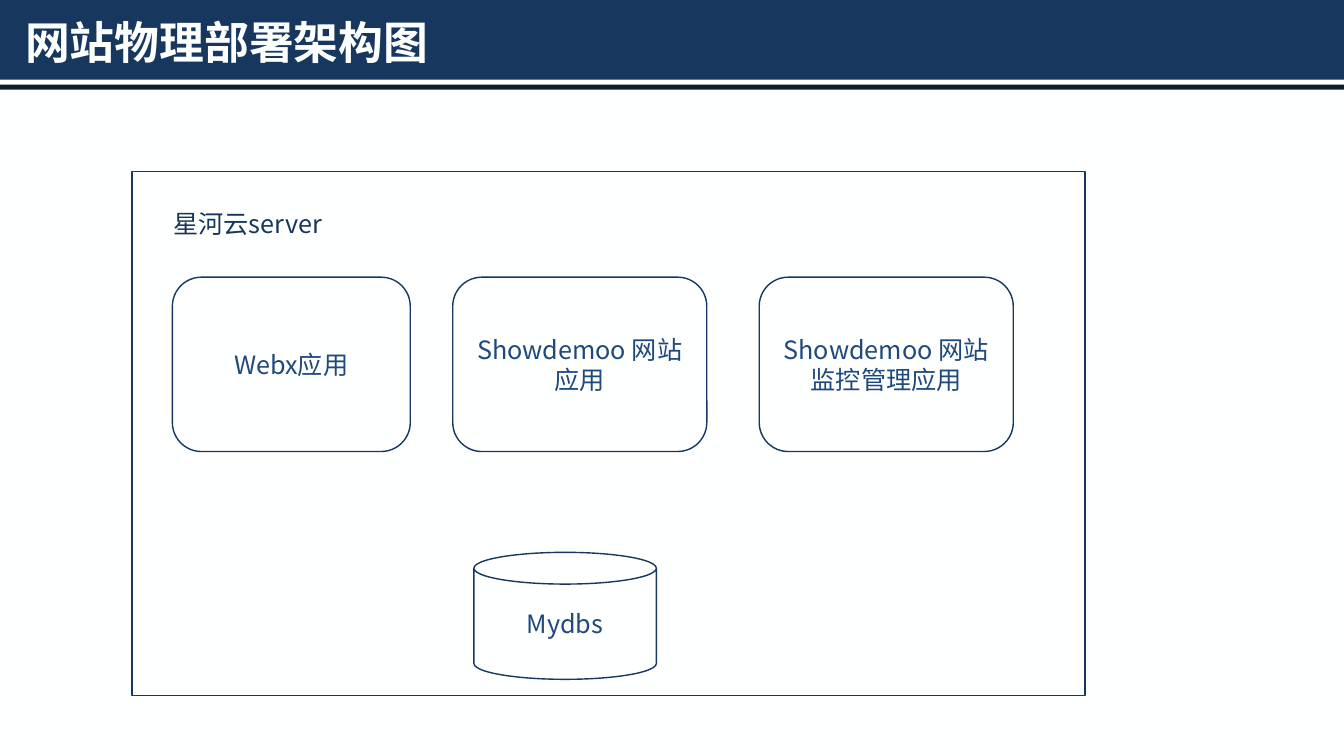
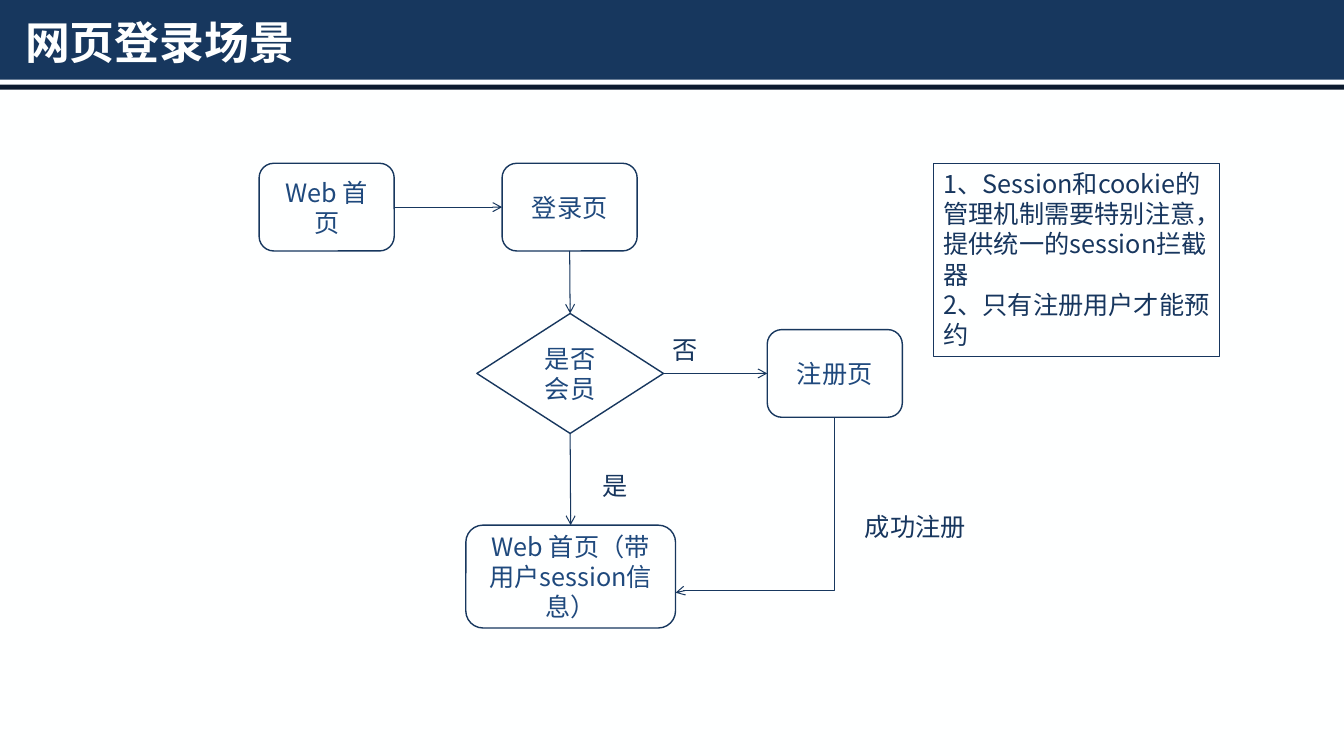
"""Build two slides: a site deployment diagram and a web login flow."""
from lxml import etree
from pptx import Presentation
from pptx.dml.color import RGBColor
from pptx.enum.shapes import MSO_CONNECTOR as Link, MSO_SHAPE as Kind
from pptx.enum.text import MSO_ANCHOR as Anchor, MSO_AUTO_SIZE as Fit, PP_ALIGN as Align
from pptx.oxml.ns import qn
from pptx.util import Inches, Pt

FONT = "Noto Sans CJK SC"
HUES = {"paper": "FEFFFF", "navy": "17375E", "dark": "0C1B2F",
        "note": "17365E", "label": "1F497D"}
SIZE = (13.33, 7.5)
ROUND = Kind.ROUNDED_RECTANGLE
TOP, LEFT, BOTTOM, RIGHT = range(4)

DEPLOY = {
    "title": "网站物理部署架构图",
    "nodes": {
        "server": ("", Kind.RECTANGLE, (1.31, 1.7, 9.45, 5.2)),
        "proxy": ("Webx应用", ROUND, (1.71, 2.75, 2.36, 1.73)),
        "site": ("Showdemoo 网站应用", ROUND, (4.49, 2.75, 2.52, 1.73)),
        "admin": ("Showdemoo 网站监控管理应用", ROUND, (7.53, 2.75, 2.52, 1.73)),
        "store": ("Mydbs", Kind.CAN, (4.7, 5.48, 1.81, 1.26)),
    },
    "notes": [("星河云server", (1.62, 2.02, 2.13, 0.4))],
}
LOGIN = {
    "title": "网页登录场景",
    "nodes": {
        "home": ("Web 首页", ROUND, (2.57, 1.62, 1.34, 0.87)),
        "login": ("登录页", ROUND, (4.98, 1.62, 1.34, 0.87)),
        "join": ("注册页", ROUND, (7.61, 3.27, 1.34, 0.87)),
        "check": ("是否会员", Kind.DIAMOND, (4.73, 3.11, 1.85, 1.19)),
        "member": ("Web 首页（带用户session信息）", ROUND, (4.62, 5.21, 2.08, 1.02)),
    },
    "notes": [
        ("是", (5.88, 4.62, 1.02, 0.4)),
        ("否", (6.57, 3.27, 0.99, 0.4)),
        ("成功注册", (8.48, 5.02, 1.34, 0.4)),
    ],
    "links": [
        ("home", RIGHT, "login", LEFT),
        ("login", BOTTOM, "check", TOP),
        ("check", BOTTOM, "member", TOP),
        ("check", RIGHT, "join", LEFT),
    ],
    "bend": ((8.28, 4.14), (6.7, 5.88)),
    "rules": ("1、Session和cookie的管理机制需要特别注意，提供统一的session拦截器\n"
              "2、只有注册用户才能预约", (9.26, 1.62, 2.84, 1.92)),
}


def hue(name):
    return RGBColor.from_string(HUES[name])


def write(shape, text, size=18, color="note", bold=False, align=Align.LEFT,
          anchor=Anchor.TOP, fit=Fit.NONE):
    frame = shape.text_frame
    frame.text = text
    frame.word_wrap = True
    frame.auto_size = fit
    frame.vertical_anchor = anchor
    for para in frame.paragraphs:
        para.alignment = align
        for run in para.runs:
            font = run.font
            font.size, font.bold, font.name = Pt(size), bold, FONT
            font.color.rgb = hue(color)
            etree.SubElement(font._element, qn("a:ea"), typeface=FONT)


def block(slide, kind, box, fill="paper", line=None):
    shape = slide.shapes.add_shape(kind, *map(Inches, box))
    shape.shadow.inherit = False
    shape.fill.solid()
    shape.fill.fore_color.rgb = hue(fill)
    if line:
        shape.line.color.rgb = hue(line)
        shape.line.width = Pt(1)
    else:
        shape.line.fill.background()
    return shape


def label(slide, text, box, **style):
    area = slide.shapes.add_textbox(*map(Inches, box))
    write(area, text, **style)
    return area


def arrow(slide, kind, start, end):
    wire = slide.shapes.add_connector(kind, *map(Inches, start + end))
    wire.line.color.rgb = hue("navy")
    wire.line.width = Pt(0.75)
    etree.SubElement(wire.line._get_or_add_ln(), qn("a:tailEnd"), type="arrow")
    etree.SubElement(wire._element.spPr, qn("a:effectLst"))
    return wire


def bend(slide, start, end):
    (ax, ay), (bx, by) = start, end
    midx, midy = (ax + bx) / 2, (ay + by) / 2
    halfw, halfh = (by - ay) / 2, (ax - bx) / 2
    wire = arrow(slide, Link.ELBOW, (midx - halfw, midy - halfh),
                 (midx + halfw, midy + halfh))
    props = wire._element.spPr
    props.find(qn("a:xfrm")).set("rot", "5400000")
    guides = props.find(qn("a:prstGeom")).find(qn("a:avLst"))
    etree.SubElement(guides, qn("a:gd"), name="adj1", fmla="val 99000")


def build(deck, data):
    slide = deck.slides.add_slide(deck.slide_layouts[6])
    back = slide.background.fill
    back.solid()
    back.fore_color.rgb = hue("paper")
    block(slide, Kind.RECTANGLE, (0, 0, SIZE[0], 0.79), fill="navy")
    block(slide, Kind.RECTANGLE, (0, 0.84, SIZE[0], 0.05), fill="dark")
    label(slide, data["title"], (0.15, 0.11, 13.02, 0.6), size=32,
          color="paper", bold=True, anchor=Anchor.MIDDLE)
    nodes = {}
    for name, (text, kind, box) in data["nodes"].items():
        nodes[name] = block(slide, kind, box, line="navy")
        write(nodes[name], text, color="label", align=Align.CENTER,
              anchor=Anchor.MIDDLE)
    for source, out, target, into in data.get("links", []):
        wire = arrow(slide, Link.STRAIGHT, (0, 0), (0, 0))
        wire.begin_connect(nodes[source], out)
        wire.end_connect(nodes[target], into)
    for text, box in data["notes"]:
        label(slide, text, box, fit=Fit.SHAPE_TO_FIT_TEXT)
    if "bend" in data:
        bend(slide, *data["bend"])
    if "rules" in data:
        area = label(slide, *data["rules"], fit=Fit.SHAPE_TO_FIT_TEXT)
        area.line.color.rgb = hue("note")
        area.line.width = Pt(0.75)


deck = Presentation()
deck.slide_width, deck.slide_height = map(Inches, SIZE)
for data in (DEPLOY, LOGIN):
    build(deck, data)
deck.save("out.pptx")
